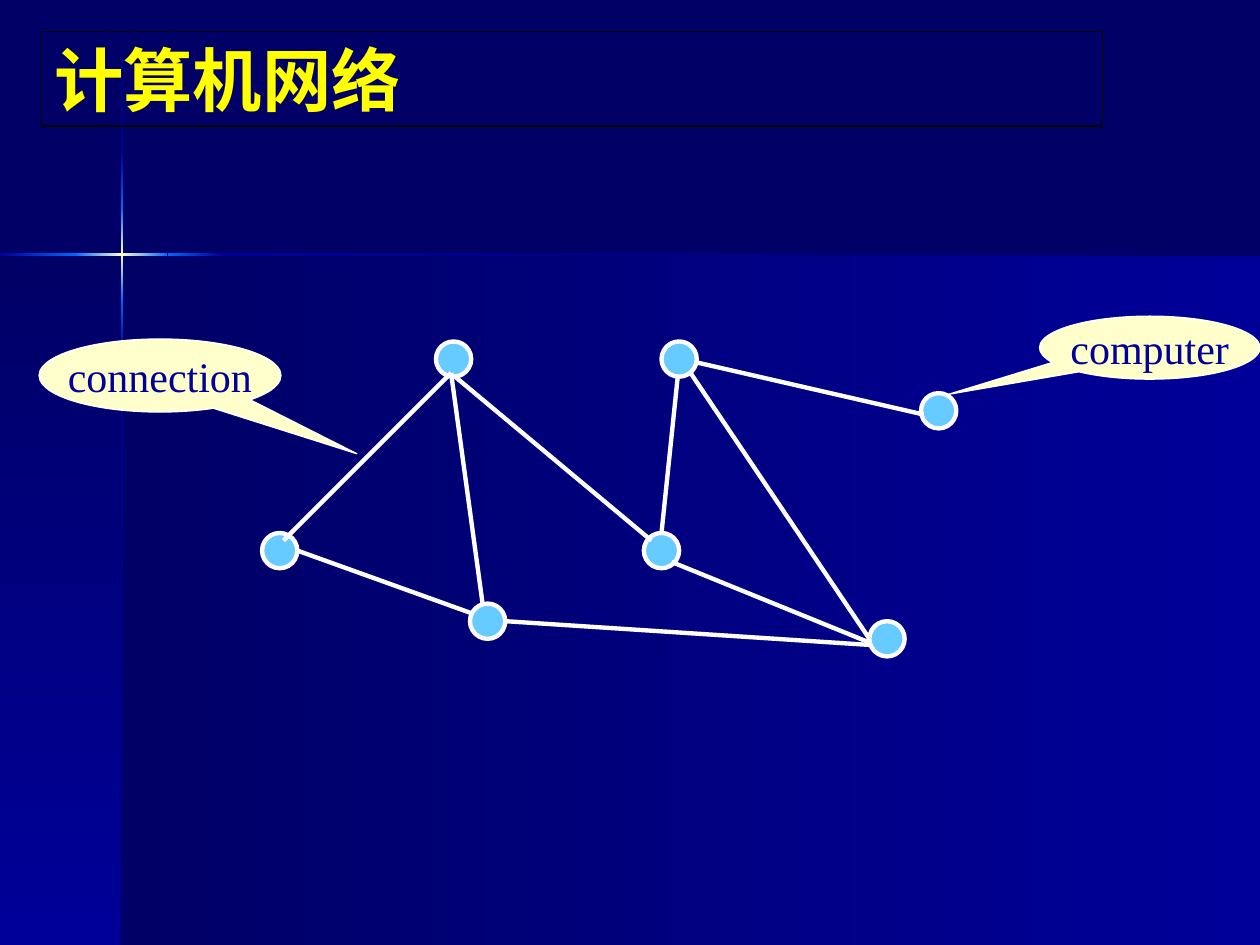
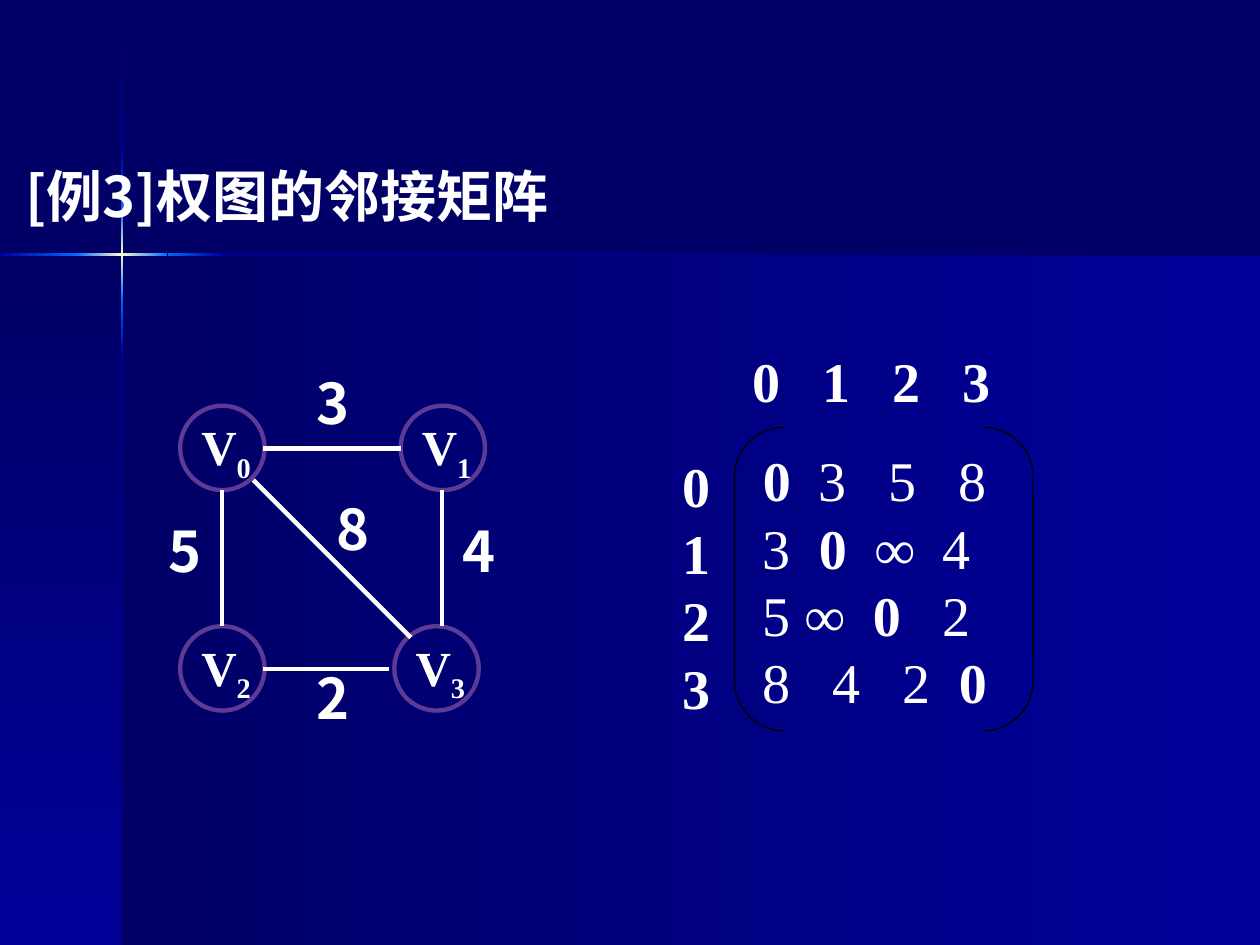
from itertools import pairwise

from lxml.etree import SubElement
from pptx import Presentation
from pptx.dml.color import RGBColor
from pptx.enum.shapes import MSO_CONNECTOR, MSO_SHAPE as SHAPE
from pptx.enum.text import MSO_ANCHOR as ANCHOR, MSO_AUTO_SIZE, PP_ALIGN as ALIGN
from pptx.oxml.ns import qn
from pptx.util import Inches, Pt

NAVY, BLUE, BRIGHT, CREAM = "000066", "000099", "0066FF", "FFFFCC"
WHITE, BLACK, YELLOW, SKY, PURPLE = "FFFFFF", "000000", "FFFF00", "66CCFF", "5D3B95"
SERIF, SANS, CJK = "Times New Roman", "Lato", "Noto Sans CJK SC"
COLUMNS, ROWS = 100, 75
THICK, THIN = 2.5, 0.75
MATRIX_SIZE, MATRIX_PITCH = 32, 38.5


def color(hex_string):
    return RGBColor.from_string(hex_string)


class Deck:
    """Holds the shared style and the slide being drawn; lengths are grid cells."""

    def __init__(self):
        self.prs = Presentation()
        self.prs.slide_width, self.prs.slide_height = Inches(10), Inches(7.5)
        self.slide = None

    def col(self, count):
        return round(self.prs.slide_width * count / COLUMNS)

    def row(self, count):
        return round(self.prs.slide_height * count / ROWS)

    def box(self, left, top, width, height):
        return self.col(left), self.row(top), self.col(width), self.row(height)

    def new_slide(self, title, box, size, font, hue):
        self.slide = self.prs.slides.add_slide(self.prs.slide_layouts[5])
        heading = self.slide.shapes.title
        heading.left, heading.top, heading.width, heading.height = self.box(*box)
        heading.text_frame.text = title
        heading.text_frame.auto_size = MSO_AUTO_SIZE.NONE
        heading.text_frame.vertical_anchor = ANCHOR.MIDDLE
        paragraph = heading.text_frame.paragraphs[0]
        paragraph.alignment = ALIGN.LEFT
        self.style(paragraph.runs[0], size, font, hue, True)
        return heading

    def style(self, run, size, font=SERIF, hue=WHITE, bold=False):
        run.font.size, run.font.bold, run.font.name = Pt(size), bold, font
        run.font.color.rgb = color(hue)
        SubElement(run._r.get_or_add_rPr(), qn("a:ea"), typeface=CJK)

    def outline(self, item, hue, weight):
        item.line.color.rgb = color(hue)
        item.line.width = Pt(weight)

    def shape(self, kind, box, fill=None, line=None, weight=THIN, adjust=()):
        item = self.slide.shapes.add_shape(kind, *self.box(*box))
        item.shadow.inherit = False
        if fill:
            item.fill.solid()
            item.fill.fore_color.rgb = color(fill)
        else:
            item.fill.background()
        self.outline(item, line, weight)
        for index, value in enumerate(adjust):
            item.adjustments[index] = value
        return item

    def edge(self, x1, y1, x2, y2):
        link = self.slide.shapes.add_connector(
            MSO_CONNECTOR.STRAIGHT, self.col(x1), self.row(y1), self.col(x2), self.row(y2))
        self.outline(link, WHITE, THICK)
        SubElement(link._element.spPr, qn("a:effectLst"))

    def textbox(self, box):
        return self.slide.shapes.add_textbox(*self.box(*box))

    def frame(self, item, left=0, top=0, anchor=ANCHOR.MIDDLE, wrap=False):
        """Sets the text margins of a shape and returns its text frame."""
        frame = item.text_frame
        frame.margin_left, frame.margin_top = self.col(left), self.row(top)
        frame.margin_right = frame.margin_bottom = 0
        frame.vertical_anchor, frame.word_wrap = anchor, wrap
        return frame

    def caption(self, item, text, size, font=SERIF, hue=WHITE, bold=False):
        paragraph = self.frame(item).paragraphs[0]
        paragraph.text, paragraph.alignment = text, ALIGN.CENTER
        self.style(paragraph.runs[0], size, font, hue, bold)

    def callout(self, text, box, pointer):
        bubble = self.shape(SHAPE.OVAL_CALLOUT, box, CREAM, WHITE, adjust=pointer)
        self.caption(bubble, text, 24, hue=BLUE)

    def vertex(self, index, left, top):
        circle = self.shape(SHAPE.OVAL, (left, top, 6.7, 6.7), line=PURPLE, weight=THICK)
        paragraph = self.frame(circle, left=0.6, top=0.4).paragraphs[0]
        paragraph.alignment = ALIGN.CENTER
        for text in ("V", str(index)):
            run = paragraph.add_run()
            run.text = text
            self.style(run, 28, bold=True)
        run._r.get_or_add_rPr().set("baseline", "-25000")

    def cells(self, paragraph, values, steps, bold):
        """Sets values at tab stops given in quarters of the type size."""
        paragraph.alignment, paragraph.line_spacing = ALIGN.LEFT, Pt(MATRIX_PITCH)
        tabs = SubElement(paragraph._p.get_or_add_pPr(), qn("a:tabLst"))
        for step in steps:
            SubElement(tabs, qn("a:tab"), pos=str(Pt(step * MATRIX_SIZE / 4)), algn="l")
        for index, value in enumerate(values):
            run = paragraph.add_run()
            run.text = "\t" + value if index else value
            self.style(run, MATRIX_SIZE, bold=value in bold)

    def backdrop(self):
        """Draws the panels and the crossed light beams, then moves them to the master."""
        master = self.prs.slide_master
        master.background.fill.solid()
        master.background.fill.fore_color.rgb = color(NAVY)
        group = self.slide.shapes.add_group_shape()

        def panel(box, hues, angle):
            item = group.shapes.add_shape(SHAPE.RECTANGLE, *self.box(*box))
            item.shadow.inherit = False
            item.line.fill.background()
            item.fill.gradient()
            gradient = item._element.spPr.find(qn("a:gradFill"))
            for child in list(gradient):
                gradient.remove(child)
            stops = SubElement(gradient, qn("a:gsLst"))
            for index, hue in enumerate(hues):
                share = 100000 * index // (len(hues) - 1)
                stop = SubElement(stops, qn("a:gs"), pos=str(share))
                SubElement(stop, qn("a:srgbClr"), val=hue)
            SubElement(gradient, qn("a:lin"), ang=str(angle * 60000), scaled="0")

        panel((9.7, 20.2, 90.3, 54.8), (NAVY, BLUE), 0)
        panel((0, 20.2, 9.7, 54.8), (NAVY, BLUE), 90)
        beam = [(NAVY, BLUE), (BLUE, BRIGHT), (BRIGHT, CREAM, BRIGHT),
                (BRIGHT, BLUE), (BLUE, NAVY)]
        for (start, end), hues in zip(pairwise((0.1, 12.1, 16.5, 23.8, 28.2, 75)), beam):
            panel((9.6, start, 0.2, end - start), hues, 90)
        for (start, end), hues in zip(pairwise((0, 6, 13.3, 17.7, 100)), beam[1:]):
            panel((start, 20.1, end - start, 0.2), hues, 0)

        for number, properties in enumerate(group._element.iter(qn("p:cNvPr")), 100):
            properties.set("id", str(number))
        master.element.cSld.spTree.insert(2, group._element)


def draw_network(deck):
    heading = deck.new_slide("计算机网络", (3.3, 2.5, 84.2, 7.5), 39.6, SANS, YELLOW)
    deck.outline(heading, BLACK, THIN)
    deck.backdrop()

    def computers(corners):
        for left, top in corners:
            deck.shape(SHAPE.OVAL, (left, top, 2.8, 2.8), SKY, WHITE, THICK)

    computers([(51.1, 42.3), (73.1, 31.2), (34.6, 27.1), (37.3, 47.9), (20.8, 42.3)])
    connections = [
        (35.8, 29.6, 22.5, 42.9), (36, 29.8, 51.7, 42.9), (23.6, 43.7, 37.5, 48.7),
        (53.8, 29.8, 52.5, 42.3), (40.1, 49.3, 69.2, 51.2), (73.3, 32.9, 55, 28.7),
        (53.3, 44.6, 69.5, 51.2), (35.8, 29.6, 38.3, 47.9), (54.2, 28.7, 69, 50.7),
    ]
    for connection in connections:
        deck.edge(*connection)
    computers([(69, 49.3), (52.5, 27.1)])
    deck.callout("computer", (82.5, 25.1, 17.5, 5), (-0.912, 0.74))
    deck.callout("connection", (3.1, 26.9, 19.2, 5.8), (0.814, 1.071))


def draw_weighted_graph(deck):
    deck.new_slide("[例3]权图的邻接矩阵", (1, 11.5, 80, 8), 32, CJK, WHITE)

    indices = "0123"
    row_labels = deck.frame(deck.textbox((52.5, 35.8, 5.5, 22)), anchor=ANCHOR.TOP, wrap=True)
    row_labels.text = "\n".join(indices)
    for paragraph in row_labels.paragraphs:
        paragraph.alignment, paragraph.line_spacing = ALIGN.CENTER, Pt(MATRIX_PITCH)
        deck.style(paragraph.runs[0], MATRIX_SIZE, bold=True)
    header = deck.frame(deck.textbox((59.7, 27.5, 20.8, 6.9)), anchor=ANCHOR.TOP, wrap=True)
    deck.cells(header.paragraphs[0], indices, (5, 10, 15), bold=indices)

    brackets = deck.shape(SHAPE.DOUBLE_BRACKET, (58.3, 33.9, 23.7, 24.1),
                          line=BLACK, adjust=[0.167])
    matrix = deck.frame(brackets, left=1.1, top=0.3, anchor=ANCHOR.TOP, wrap=True)
    weights = [("0358", (4, 9, 14)), ("30∞4", (4, 8, 12.85)),
               ("5∞02", (3, 7.85, 12.85)), ("8420", (5, 10, 14))]
    for index, (values, steps) in enumerate(weights):
        paragraph = matrix.add_paragraph() if index else matrix.paragraphs[0]
        deck.cells(paragraph, values, steps, bold="0∞")

    vertices = [(14.3, 32.2), (31.8, 32.2), (14.3, 49.7), (31.3, 49.7)]
    for index, corner in enumerate(vertices):
        deck.vertex(index, *corner)
    weighted_edges = [
        ("3", (20.9, 35.6, 31.8, 35.6), (24.3, 28.8)),
        ("4", (35.1, 38.9, 35.1, 49.7), (35.9, 40.5)),
        ("2", (20.9, 53.1, 30.9, 53.1), (24.3, 52.2)),
        ("5", (17.6, 38.9, 17.6, 49.7), (12.6, 40.5)),
        ("8", (20.1, 38.1, 32.6, 50.6), (25.9, 38.8)),
    ]
    for weight, ends, corner in weighted_edges:
        deck.edge(*ends)
        deck.caption(deck.textbox((*corner, 4.2, 6.3)), weight, 32, CJK, bold=True)


def main():
    deck = Deck()
    draw_network(deck)
    draw_weighted_graph(deck)
    deck.prs.save("out.pptx")


if __name__ == "__main__":
    main()
